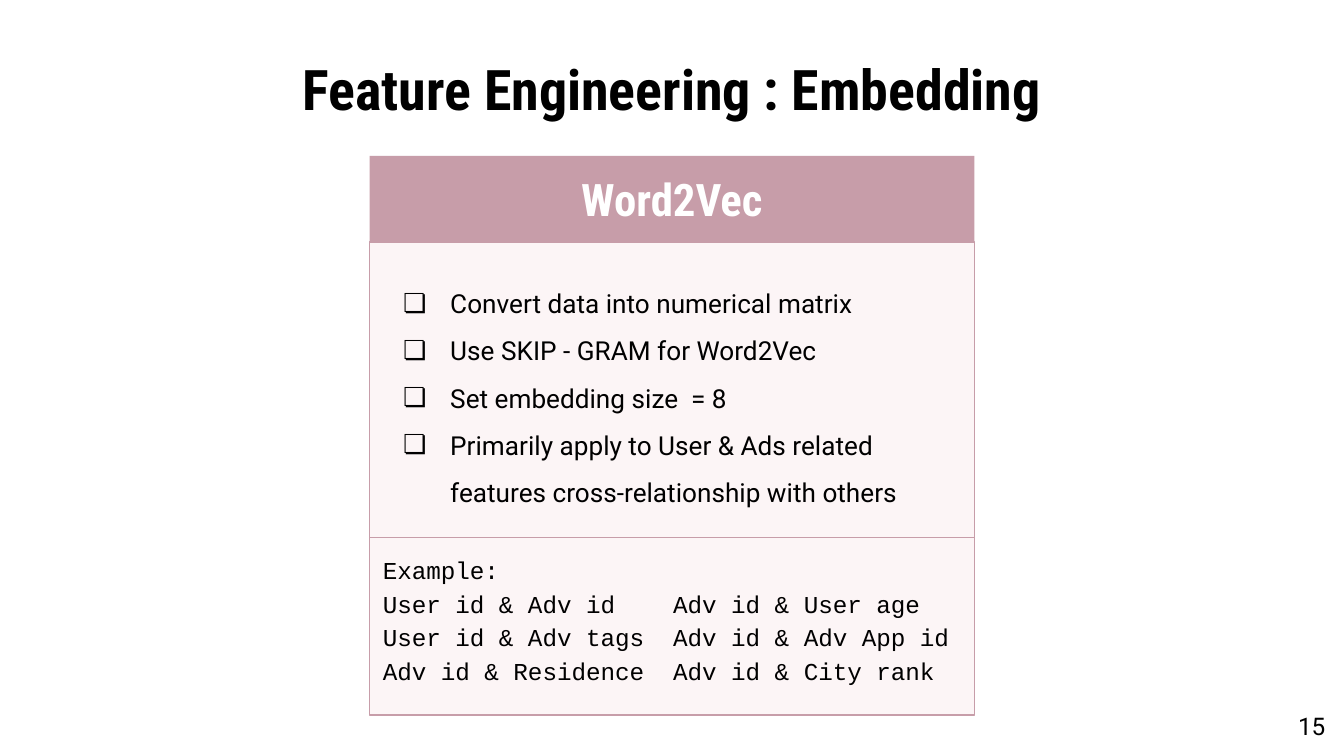
from lxml import etree
from pptx import Presentation
from pptx.dml.color import RGBColor
from pptx.enum.shapes import MSO_SHAPE
from pptx.enum.text import MSO_ANCHOR, MSO_AUTO_SIZE, PP_ALIGN
from pptx.oxml.ns import qn
from pptx.util import Inches, Pt

RECTANGLE = MSO_SHAPE.RECTANGLE
TOP, MIDDLE = MSO_ANCHOR.TOP, MSO_ANCHOR.MIDDLE
NO_AUTOFIT = MSO_AUTO_SIZE.NONE
LEFT, CENTER, RIGHT = PP_ALIGN.LEFT, PP_ALIGN.CENTER, PP_ALIGN.RIGHT

BLACK, WHITE = "000000", "FFFFFF"
ROSE, BLUSH = "C79DA9", "E8B5BB"
BLUSH_OPACITY = 13
SLIDE_WIDTH = 10
SLIDE_HEIGHT = SLIDE_WIDTH * 9 / 16
CARD_LEFT, CARD_WIDTH = 2.75, 4.5
HEADER_TOP, POINTS_TOP, EXAMPLES_TOP, CARD_BOTTOM = 1.16, 1.8, 4, 5.32
EXAMPLE_COLUMN = 2.16

POINTS = [
    "Convert data into numerical matrix",
    "Use SKIP - GRAM for Word2Vec",
    "Set embedding size  = 8",
    "Primarily apply to User & Ads related features cross-relationship with others",
]
EXAMPLES = [
    "Example:",
    "User id & Adv id\tAdv id & User age",
    "User id & Adv tags\tAdv id & Adv App id",
    "Adv id & Residence\tAdv id & City rank",
]


def rgb(hex_color):
    return RGBColor.from_string(hex_color)


def place(shape, left, top, width, height):
    shape.left, shape.top = Inches(left), Inches(top)
    shape.width, shape.height = Inches(width), Inches(height)


def add_bullet(paragraph):
    properties = paragraph._p.get_or_add_pPr()
    properties.set("marL", str(Inches(0.5)))
    properties.set("indent", str(Inches(-0.35)))
    bullet_color = etree.SubElement(properties, qn("a:buClr"))
    etree.SubElement(bullet_color, qn("a:srgbClr"), val=BLACK)
    etree.SubElement(properties, qn("a:buFont"), typeface="Roboto")
    etree.SubElement(properties, qn("a:buChar"), char="❏")


def add_column_tab(paragraph):
    tabs = etree.SubElement(paragraph._p.get_or_add_pPr(), qn("a:tabLst"))
    etree.SubElement(tabs, qn("a:tab"), pos=str(Inches(EXAMPLE_COLUMN)), algn="l")


def write(shape, lines, font_name, size, color=BLACK, bold=False, align=LEFT,
          anchor=MIDDLE, spacing=1.0, decorate=None):
    frame = shape.text_frame
    frame.word_wrap = True
    frame.auto_size = NO_AUTOFIT
    frame.vertical_anchor = anchor
    frame.margin_left = frame.margin_right = Inches(0.1)
    frame.margin_top = frame.margin_bottom = Inches(0.1)
    frame.text = "\n".join(lines)
    for paragraph in frame.paragraphs:
        if decorate:
            decorate(paragraph)
        paragraph.alignment = align
        paragraph.line_spacing = spacing
        paragraph.space_before = Pt(0)
        font = paragraph.font
        font.name, font.size, font.bold = font_name, Pt(size), bold
        font.color.rgb = rgb(color)


def paint_panel(panel):
    panel.fill.solid()
    panel.fill.fore_color.rgb = rgb(BLUSH)
    fill_color = panel._element.spPr.find(qn("a:solidFill")).find(qn("a:srgbClr"))
    etree.SubElement(fill_color, qn("a:alpha"), val=str(BLUSH_OPACITY * 1000))
    panel.line.color.rgb = rgb(ROSE)
    panel.line.width = Pt(0.75)


def add_card_section(slide, top, bottom):
    section = slide.shapes.add_shape(
        RECTANGLE, Inches(CARD_LEFT), Inches(top), Inches(CARD_WIDTH), Inches(bottom - top))
    section.shadow.inherit = False
    return section


def main():
    presentation = Presentation()
    presentation.slide_width = Inches(SLIDE_WIDTH)
    presentation.slide_height = Inches(SLIDE_HEIGHT)
    slide = presentation.slides.add_slide(presentation.slide_layouts[1])

    title = slide.shapes.title
    place(title, 0.5, 0.45, 9, 0.41)
    write(title, ["Feature Engineering : Embedding"], "Roboto Condensed", 30,
          bold=True, align=CENTER)

    points = slide.placeholders[1]
    place(points, CARD_LEFT, POINTS_TOP, CARD_WIDTH, EXAMPLES_TOP - POINTS_TOP)
    paint_panel(points)
    write(points, POINTS, "Roboto", 14, spacing=1.5, decorate=add_bullet)

    header = add_card_section(slide, HEADER_TOP, POINTS_TOP)
    header.fill.solid()
    header.fill.fore_color.rgb = rgb(ROSE)
    header.line.fill.background()
    write(header, ["Word2Vec"], "Roboto Condensed", 24, WHITE, bold=True, align=CENTER)

    examples = add_card_section(slide, EXAMPLES_TOP, CARD_BOTTOM)
    paint_panel(examples)
    write(examples, EXAMPLES, "Courier New", 13, anchor=TOP, spacing=1.15,
          decorate=add_column_tab)

    page_number = slide.shapes.add_textbox(
        Inches(9.36), Inches(5.19), Inches(0.6), Inches(0.43))
    write(page_number, ["15"], "Roboto", 13, align=RIGHT, anchor=TOP)

    presentation.save("out.pptx")


if __name__ == "__main__":
    main()
